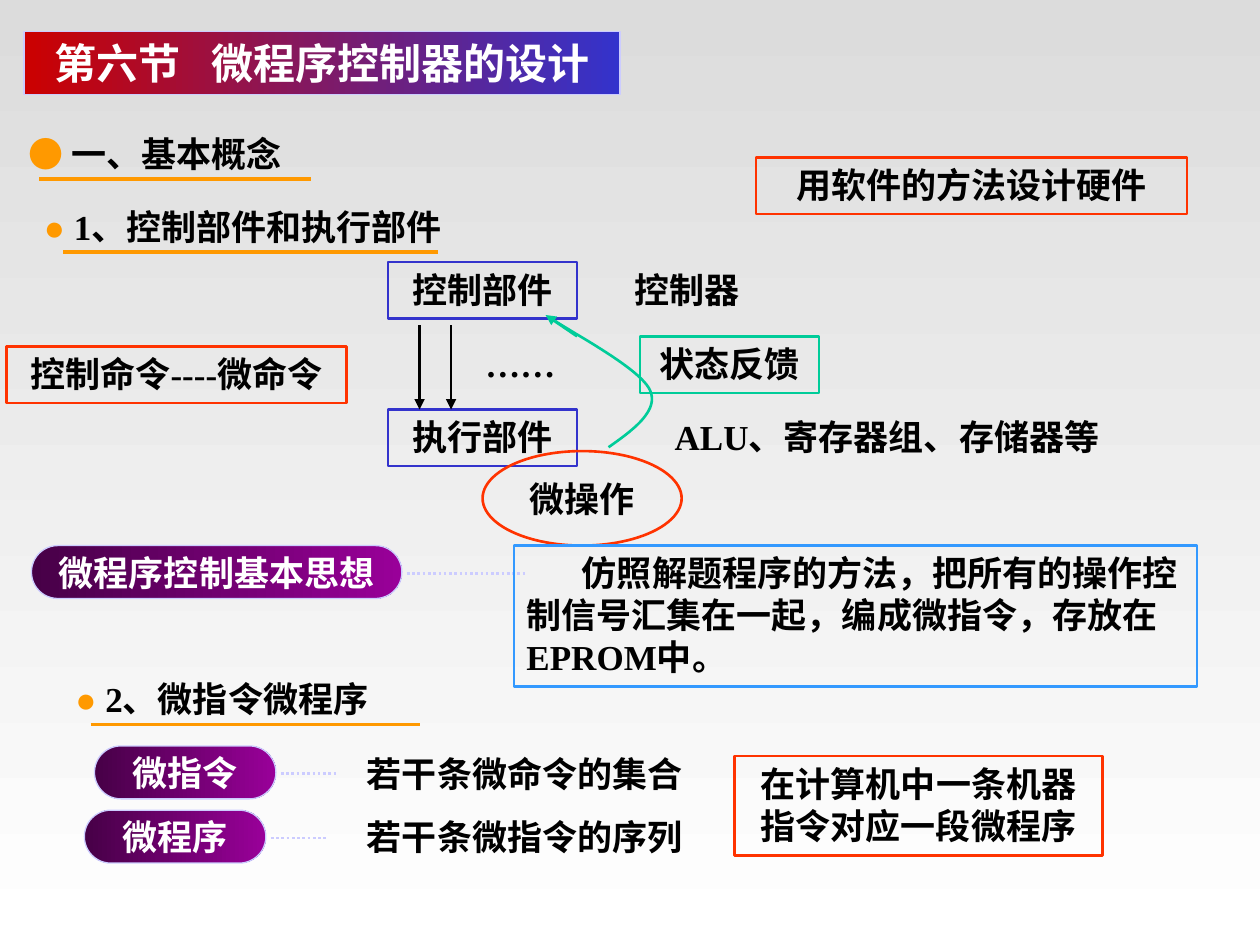
import pptx
import pptx.dml.color
import pptx.enum.dml
import pptx.enum.shapes
import pptx.enum.text
import pptx.oxml.ns
import pptx.util
from lxml import etree

Inches = pptx.util.Inches
Pt = pptx.util.Pt
qn = pptx.oxml.ns.qn
SHAPE = pptx.enum.shapes.MSO_SHAPE
ANCHOR = pptx.enum.text.MSO_ANCHOR
ALIGN = pptx.enum.text.PP_ALIGN

BLACK, WHITE = "000000", "FFFFFF"
ORANGE, RED, BLUE, SKY = "FF9900", "FF3300", "3333CC", "3399FF"
GREEN, LILAC = "00CC99", "CCCCFF"
PURPLES = ("470047", "990099")


def rgb(value):
    return pptx.dml.color.RGBColor.from_string(value)


def bezier(start, c1, c2, end, steps=24):
    """Points along a cubic curve."""
    for i in range(steps + 1):
        t = i / steps
        u = 1 - t
        yield tuple(u**3 * a + 3 * u * u * t * b + 3 * u * t * t * c + t**3 * d
                    for a, b, c, d in zip(start, c1, c2, end))


class SlideBuilder:
    font = "Times New Roman"
    size = 20

    def __init__(self, slide):
        self.slide = slide
        self.shapes = slide.shapes

    def gradient(self, fill, colours, angle=0):
        fill.gradient()
        fill.gradient_angle = angle
        for stop, colour in zip(fill.gradient_stops, colours):
            stop.color.rgb = rgb(colour)

    def outline(self, shape, colour, width):
        shape.line.color.rgb = rgb(colour)
        shape.line.width = Pt(width)

    def run(self, paragraph, text, colour=BLACK, bold=True, size=None):
        run = paragraph.add_run()
        run.text = text
        run.font.name = self.font
        run.font.size = Pt(size or self.size)
        run.font.bold = bold
        run.font.color.rgb = rgb(colour)
        return run

    def frame(self, shape, align=ALIGN.CENTER, anchor=ANCHOR.TOP, wrap=True, inset=True):
        frame = shape.text_frame
        frame.auto_size = pptx.enum.text.MSO_AUTO_SIZE.NONE
        frame.word_wrap = wrap
        frame.vertical_anchor = anchor
        frame.margin_left = frame.margin_right = Inches(0.1 if inset else 0)
        frame.margin_top = frame.margin_bottom = Inches(0.05 if inset else 0)
        paragraph = frame.paragraphs[0]
        paragraph.alignment = align
        return paragraph

    def preset(self, kind, x, y, w, h):
        shape = self.shapes.add_shape(kind, Inches(x), Inches(y), Inches(w), Inches(h))
        shape.shadow.inherit = False
        return shape

    def title(self, parts, x, y, w, h):
        title = self.shapes.title
        title.left, title.top, title.width, title.height = map(Inches, (x, y, w, h))
        # Give the placeholder the rounded outline of a pill
        geometry = etree.SubElement(title.element.spPr, qn("a:prstGeom"), prst="roundRect")
        guides = etree.SubElement(geometry, qn("a:avLst"))
        etree.SubElement(guides, qn("a:gd"), name="adj", fmla="val 50000")
        self.gradient(title.fill, ("CC0000", BLUE))
        self.outline(title, LILAC, 0.75)
        paragraph = self.frame(title, anchor=ANCHOR.MIDDLE, wrap=False, inset=False)
        number, name = parts
        self.run(paragraph, number, WHITE, size=24)
        gap = self.run(paragraph, " ", WHITE, size=24)
        gap.font._element.set("spc", "1200")
        self.run(paragraph, name, WHITE, size=24)

    def label(self, text, x, y, w, h=0.43):
        box = self.shapes.add_textbox(Inches(x), Inches(y), Inches(w), Inches(h))
        self.run(self.frame(box), text)

    def box(self, text, colour, x, y, w, h=0.45, align=ALIGN.CENTER, indent=0):
        box = self.preset(SHAPE.RECTANGLE, x, y, w, h)
        box.fill.background()
        self.outline(box, colour, 1.5)
        paragraph = self.frame(box, align)
        if indent:
            paragraph._p.get_or_add_pPr().set("indent", str(Inches(indent)))
        self.run(paragraph, text)

    def oval(self, text, colour, x, y, w, h):
        oval = self.preset(SHAPE.OVAL, x, y, w, h)
        oval.fill.background()
        self.outline(oval, colour, 1.5)
        self.run(self.frame(oval, anchor=ANCHOR.MIDDLE, wrap=False), text)

    def line(self, start, end, colour, width=1.5, arrow=False, dotted=False):
        line = self.shapes.add_connector(
            pptx.enum.shapes.MSO_CONNECTOR.STRAIGHT, *map(Inches, (*start, *end)))
        self.outline(line, colour, width)
        if dotted:
            line.line.dash_style = pptx.enum.dml.MSO_LINE.ROUND_DOT
        if arrow:
            etree.SubElement(line.line._get_or_add_ln(), qn("a:tailEnd"), type="triangle")
        etree.SubElement(line._element.spPr, qn("a:effectLst"))

    def curve(self, points, colour):
        first, *rest = points
        builder = self.shapes.build_freeform(*map(Inches, first))
        builder.add_line_segments([tuple(map(Inches, p)) for p in rest], close=False)
        curve = builder.convert_to_shape()
        curve.shadow.inherit = False
        curve.fill.background()
        self.outline(curve, colour, 1.5)

    def heading(self, text, x, y, w, rule_start, rule_end):
        box = self.shapes.add_textbox(Inches(x), Inches(y), Inches(w), Inches(0.43))
        paragraph = self.frame(box, ALIGN.LEFT)
        self.run(paragraph, "● ", ORANGE, bold=False)
        self.run(paragraph, text)
        self.line((rule_start, y + 0.42), (rule_end, y + 0.42), ORANGE, 2.25)

    def pill(self, text, x, y, w, leader_end):
        pill = self.preset(SHAPE.ROUNDED_RECTANGLE, x, y, w, 0.42)
        pill.adjustments[0] = 0.5
        self.gradient(pill.fill, PURPLES)
        self.outline(pill, LILAC, 0.75)
        paragraph = self.frame(pill, anchor=ANCHOR.MIDDLE, wrap=False, inset=False)
        self.run(paragraph, text, WHITE)
        self.line((x + w + 0.04, y + 0.22), (leader_end, y + 0.22), LILAC, dotted=True)


def main():
    deck = pptx.Presentation()
    deck.slide_width, deck.slide_height = Inches(10), Inches(7.5)
    page = SlideBuilder(deck.slides.add_slide(deck.slide_layouts[5]))
    page.gradient(page.slide.background.fill, ("DCDCDC", WHITE), angle=270)

    # Title and section headings
    page.title(("第六节", "微程序控制器的设计"), 0.19, 0.25, 4.73, 0.5)
    page.heading("一、基本概念", 0.13, 1, 3.25, 0.31, 2.47)
    page.heading("1、控制部件和执行部件", 0.25, 1.58, 4.48, 0.5, 3.48)
    page.box("用软件的方法设计硬件", RED, 6, 1.25, 3.42)

    # Control unit and execution unit
    for unit, y in (("控制部件", 2.08), ("执行部件", 3.25)):
        page.box(unit, BLUE, 3.08, y, 1.5)
    page.label("控制器", 4.83, 2.08, 1.25)
    page.label("ALU、寄存器组、存储器等", 5, 3.25, 4.08)

    # Commands going down
    for x in (3.33, 3.58):
        page.line((x, 2.58), (x, 3.25), BLACK, arrow=True)
    page.label("……", 3.67, 2.67, 0.92)
    page.box("控制命令----微命令", RED, 0.05, 2.75, 2.7)
    page.oval("微操作", RED, 3.83, 3.58, 1.58, 0.75)

    # State feedback going up
    bend = (5.16, 3.1)
    rising = list(bezier((4.83, 3.55), (5.03, 3.41), (5.23, 3.26), bend))
    returning = list(bezier(bend, (5.09, 2.93), (4.54, 2.64), (4.41, 2.55)))
    page.curve(rising + returning[1:], GREEN)
    page.line((4.58, 2.67), (4.33, 2.5), GREEN, arrow=True)
    page.box("状态反馈", GREEN, 5.08, 2.67, 1.42)

    # Basic idea of microprogrammed control
    page.pill("微程序控制基本思想", 0.25, 4.33, 2.94, 4.17)
    page.box("仿照解题程序的方法，把所有的操作控制信号汇集在一起，编成微指令，存放在EPROM中。",
             SKY, 4.08, 4.33, 5.42, 1.12, ALIGN.LEFT, indent=0.44)

    # Microinstruction and microprogram
    page.heading("2、微指令微程序", 0.5, 5.33, 3.92, 0.72, 3.33)
    page.pill("微指令", 0.75, 5.92, 1.44, 2.67)
    page.pill("微程序", 0.67, 6.43, 1.44, 2.59)
    for meaning, y in (("若干条微命令的集合", 5.92), ("若干条微指令的序列", 6.42)):
        page.label(meaning, 2.75, y, 2.83)
    page.box("在计算机中一条机器指令对应一段微程序", RED, 5.83, 6, 2.92, 0.79)

    deck.save("out.pptx")


if __name__ == "__main__":
    main()
